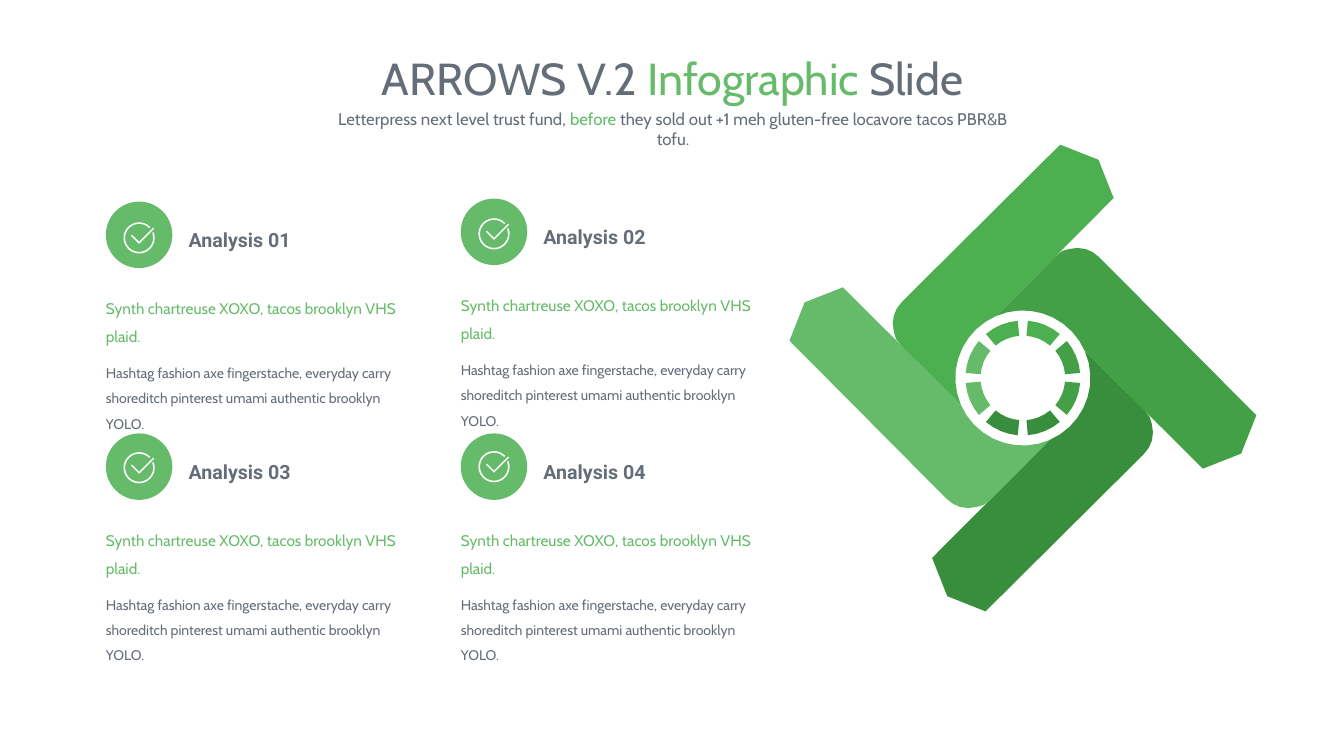
from dataclasses import dataclass
from math import cos, radians, sin

from pptx import Presentation
from pptx.dml.color import RGBColor
from pptx.enum.shapes import MSO_SHAPE
from pptx.enum.text import MSO_ANCHOR, PP_ALIGN
from pptx.util import Inches, Pt

Point = tuple[float, float]
Run = tuple[str, str]

GRAY = "656D78"
LIGHT_GREEN = "66BB6A"
WHITE = "FFFFFF"
ARROW_COLORS = ["43A047", "388E3C", LIGHT_GREEN, "4CAF50"]
WHEEL_CENTER = (10.145, 3.75)
HUB_RADIUS = 0.67
BADGE_SIZE = 0.66
ICON_SIZE = 0.31
DEGREE = 0.6
CHECK_MARK = [(-0.08, -0.02), (-0.07, -0.03), (0, 0.04),
              (0.14, -0.1), (0.15, -0.09), (0, 0.06)]


@dataclass
class Analysis:
    title: str
    left: float
    top: float
    icon_drop: float


@dataclass
class Line:
    runs: list[Run]
    size: float
    font: str = "Cabin"
    bold: bool = False
    spacing: float = 1.0
    before: float = 0


ANALYSES = [
    Analysis("Analysis 01", 1.05, 2.0, 0.03),
    Analysis("Analysis 02", 4.57, 1.97, 0.02),
    Analysis("Analysis 03", 1.05, 4.3, 0.01),
    Analysis("Analysis 04", 4.57, 4.3, 0),
]


def color(value: str) -> RGBColor:
    return RGBColor.from_string(value)


def paint(shape, fill: str) -> None:
    shape.shadow.inherit = False
    shape.fill.solid()
    shape.fill.fore_color.rgb = color(fill)
    shape.line.fill.background()


def add_text(slide, lines: list[Line], left: float, top: float, width: float,
             height: float, *, inset: Point = (0, 0), align=PP_ALIGN.LEFT,
             anchor=MSO_ANCHOR.TOP) -> None:
    box = slide.shapes.add_textbox(Inches(left), Inches(top), Inches(width), Inches(height))
    frame = box.text_frame
    frame.word_wrap = True
    frame.vertical_anchor = anchor
    frame.margin_left = frame.margin_right = Inches(inset[0])
    frame.margin_top = frame.margin_bottom = Inches(inset[1])
    for index, line in enumerate(lines):
        paragraph = frame.add_paragraph() if index else frame.paragraphs[0]
        paragraph.alignment = align
        paragraph.line_spacing = line.spacing
        if index:
            paragraph.space_before = Pt(line.before)
        for text, text_color in line.runs:
            run = paragraph.add_run()
            run.text = text
            run.font.name = line.font
            run.font.size = Pt(line.size)
            run.font.bold = line.bold
            run.font.color.rgb = color(text_color)


def add_round_shape(slide, kind: MSO_SHAPE, center: Point, size: float, fill: str,
                    adjustments: list[float]) -> None:
    left, top = (Inches(middle - size / 2) for middle in center)
    shape = slide.shapes.add_shape(kind, left, top, Inches(size), Inches(size))
    for index, value in enumerate(adjustments):
        shape.adjustments[index] = value
    paint(shape, fill)


def arc(radius: float, start: float, end: float, steps: int) -> list[Point]:
    angles = [radians(start + (end - start) * step / steps) for step in range(steps + 1)]
    return [(radius * cos(angle), radius * sin(angle)) for angle in angles]


def quarter_turns(points: list[Point], turns: int) -> list[Point]:
    for _ in range(turns):
        points = [(-y, x) for x, y in points]
    return points


def add_outline(slide, points: list[Point], center: Point, fill: str) -> None:
    placed = [(Inches(center[0] + x), Inches(center[1] + y)) for x, y in points]
    builder = slide.shapes.build_freeform(*placed[0], scale=1.0)
    builder.add_line_segments(placed[1:], close=True)
    paint(builder.convert_to_shape(), fill)


def add_wheel(slide) -> None:
    tip = [(2.315, 0.37), (2.165, 0.75), (1.785, 0.9)]
    hub_edge = arc(HUB_RADIUS, -23.5, -113.5, 9)
    rounded_corner = [(0.325, -1.21), (0.39, -1.26), (0.46, -1.28), (0.54, -1.29),
                      (0.62, -1.28), (0.69, -1.25), (0.755, -1.2)]
    arrow = tip + hub_edge + rounded_corner
    for turns, fill in enumerate(ARROW_COLORS):
        add_outline(slide, quarter_turns(arrow, turns), WHEEL_CENTER, fill)
        for start, end in [(-40, -5), (5, 40)]:
            segment = arc(0.57, start, end, 4) + arc(0.42, end, start, 4)
            add_outline(slide, quarter_turns(segment, turns), WHEEL_CENTER, fill)


def add_analysis(slide, analysis: Analysis) -> None:
    left, top = analysis.left, analysis.top
    badge_center = (left + BADGE_SIZE / 2, top + BADGE_SIZE / 2)
    icon_center = (badge_center[0], badge_center[1] + analysis.icon_drop)
    add_round_shape(slide, MSO_SHAPE.ROUNDED_RECTANGLE, badge_center, BADGE_SIZE,
                    LIGHT_GREEN, [0.5])
    add_round_shape(slide, MSO_SHAPE.BLOCK_ARC, icon_center, ICON_SIZE, WHITE,
                    [339 * DEGREE, 316 * DEGREE, 0.05])
    add_outline(slide, CHECK_MARK, icon_center, WHITE)
    heading = Line([(analysis.title, GRAY)], 14, font="Roboto", bold=True, spacing=1.3)
    add_text(slide, [heading], left + 0.82, top + 0.2, 1.93, 0.28, anchor=MSO_ANCHOR.MIDDLE)
    lead = Line([("Synth chartreuse XOXO, tacos brooklyn VHS plaid.", LIGHT_GREEN)],
                11, spacing=1.5)
    detail = Line([("Hashtag fashion axe fingerstache, everyday carry shoreditch "
                    "pinterest umami authentic brooklyn YOLO.", GRAY)],
                  10, spacing=1.5, before=7.5)
    add_text(slide, [lead, detail], left, top + 0.88, 3.09, 0.87)


def main() -> None:
    presentation = Presentation()
    presentation.slide_width = Inches(13.33)
    presentation.slide_height = Inches(7.5)
    slide = presentation.slides.add_slide(presentation.slide_layouts[6])
    title = Line([("ARROWS V.2 ", GRAY), ("Infographic ", LIGHT_GREEN), ("Slide", GRAY)], 32)
    subtitle = Line([("Letterpress next level trust fund, ", GRAY), ("before", LIGHT_GREEN),
                     (" they sold out +1 meh gluten-free locavore tacos PBR&B tofu.", GRAY)], 12)
    add_text(slide, [title], 2.54, 0.45, 8.26, 0.64, inset=(0.1, 0.05), align=PP_ALIGN.CENTER)
    add_text(slide, [subtitle], 3.2, 1.03, 6.95, 0.3, inset=(0.1, 0.05), align=PP_ALIGN.CENTER)
    add_wheel(slide)
    for analysis in ANALYSES:
        add_analysis(slide, analysis)
    presentation.save("out.pptx")


if __name__ == "__main__":
    main()
